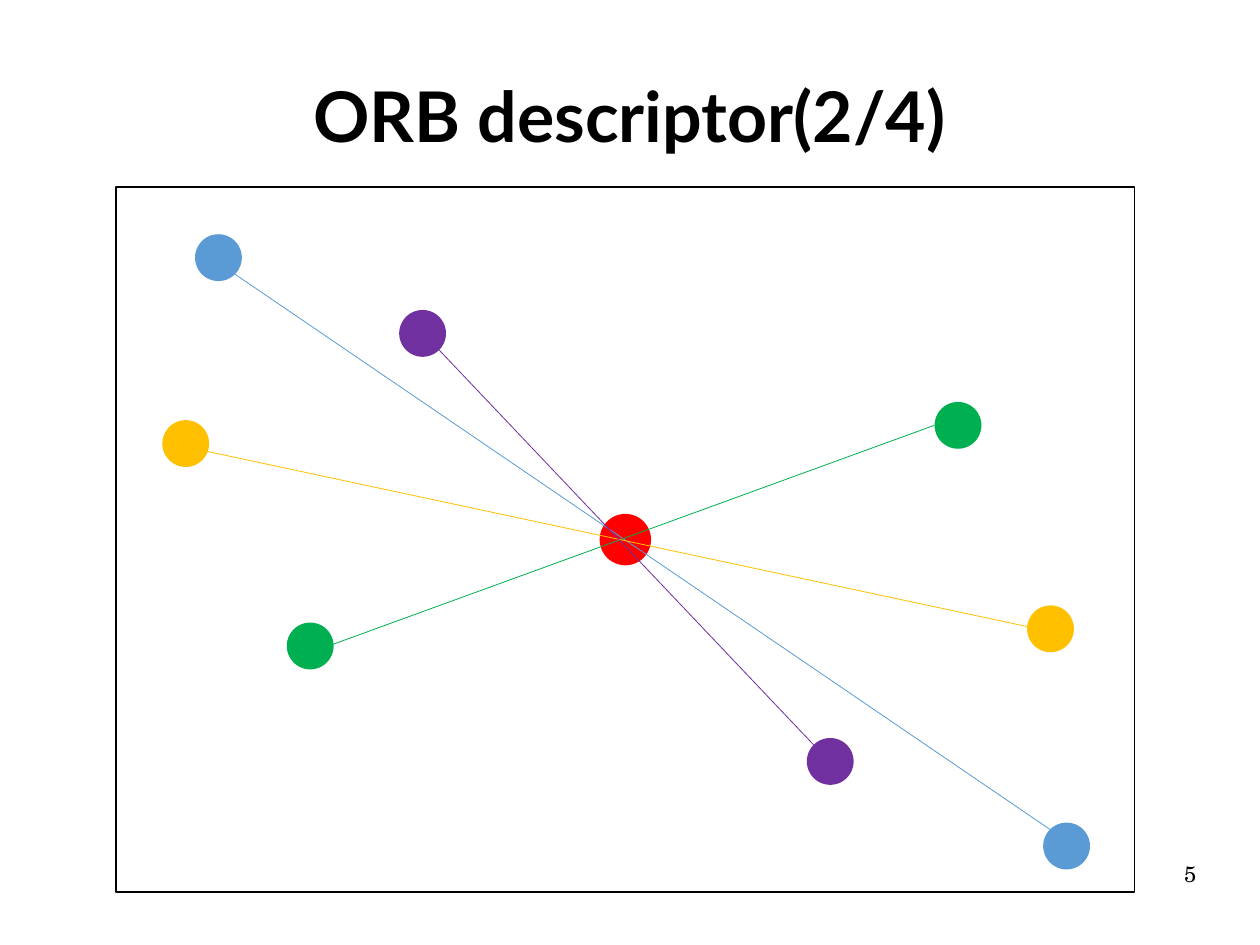
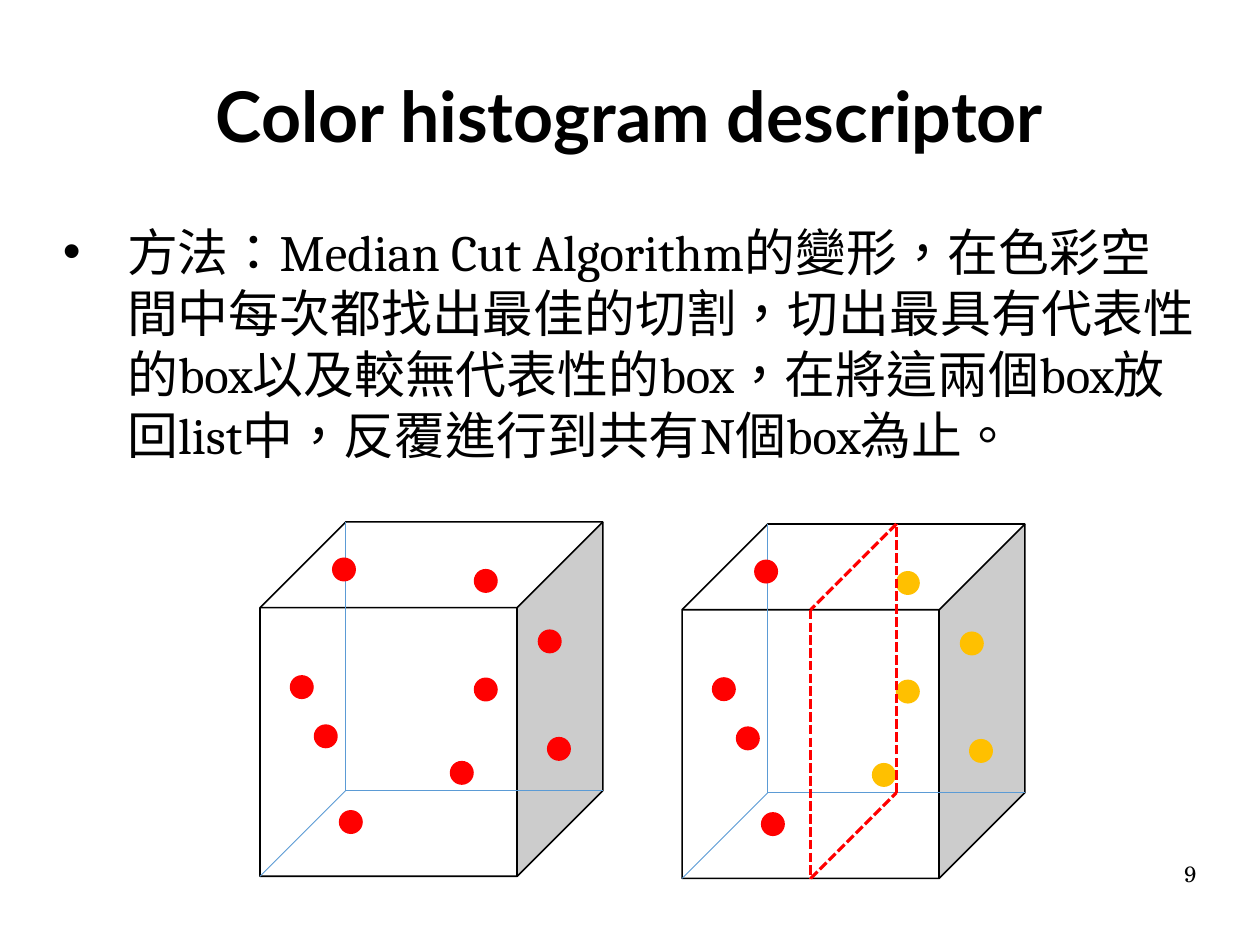
from lxml import etree
from pptx import Presentation
from pptx import util as u
from pptx.dml import color
from pptx.enum import dml, lang, shapes, text
from pptx.oxml import ns

Pt = u.Pt

# Shared look
BLACK, WHITE, RED = "000000", "FFFFFF", "FF0000"
BLUE, GREEN, AMBER, PURPLE = "5B9BD5", "00B050", "FFC000", "7030A0"
TITLE_FONT, BODY_FONT, NUMBER_FONT = "Lato", "Cambria", "TeX Gyre Schola"
SLIDE_SIZE = (793.75, 595.25)
TITLE_BOX = (39.6, 22.3, 714.3, 99.4)
BODY_BOX = (39.6, 139, 714.3, 444.2)
NUMBER_BOX = (568.8, 542.2, 185, 41)
TITLE_AND_BODY, TITLE_ONLY = 1, 5

# Slide 1: pairs of points, each with its centre and the line's offset from it
FRAME_BOX = (73.2, 117.8, 641.5, 444.2)
CENTRE_SIZE, POINT_SIZE = 32.4, 29.5
POINT_PAIRS = [
    (BLUE, (64.4, 44.5), (10.4, 10.4), (598.7, 415.1), (-10.4, -10.4)),
    (GREEN, (122.2, 289.1), (10.4, 0.4), (530.3, 150.1), (-14.8, 0)),
    (AMBER, (43.8, 161.6), (9, 4), (588.6, 278.3), (-6.1, 0.4)),
    (PURPLE, (193, 92.2), (10.4, 10.4), (449.8, 361.8), (-10.4, -10.4)),
]

# Slide 2: colour samples, as centres inside a cube
CUBE_SIZE = (216, 223.2)
SAMPLE_SIZE = 15.1
SAMPLES = [(142.2, 37.1), (26.3, 104), (57.2, 189), (41.4, 135), (142.2, 105.5),
           (52.9, 29.9), (188.3, 142.9), (127.1, 158), (182.5, 75.2)]
METHOD = ("方法：Median Cut Algorithm的變形，在色彩空間中每次都找出最佳的切割，"
          "切出最具有代表性的box以及較無代表性的box，在將這兩個box放回list中，"
          "反覆進行到共有N個box為止。")


def rgb(code):
    return color.RGBColor.from_string(code)


def place(part, box):
    part.left, part.top, part.width, part.height = (Pt(v) for v in box)


def write(part, words, *, font, size, bold=False, align=text.PP_ALIGN.LEFT,
          anchor=text.MSO_ANCHOR.TOP, bullet=None, indent=0, after=0, language=None):
    """Fill a placeholder or text box with one formatted paragraph."""
    frame = part.text_frame
    frame.word_wrap = True
    frame.auto_size = text.MSO_AUTO_SIZE.NONE
    frame.vertical_anchor = anchor
    frame.margin_left = frame.margin_top = frame.margin_right = frame.margin_bottom = 0
    paragraph = frame.paragraphs[0]
    paragraph.alignment = align
    paragraph.space_before, paragraph.space_after = Pt(0), Pt(after)
    if bullet:
        props = paragraph._p.get_or_add_pPr()
        props.set("marL", str(Pt(indent)))
        props.set("indent", str(-Pt(indent)))
        etree.SubElement(props, ns.qn("a:buFont")).set("typeface", "Arial")
        etree.SubElement(props, ns.qn("a:buChar")).set("char", bullet)
    run = paragraph.add_run()
    run.text = words
    run.font.name, run.font.size, run.font.bold = font, Pt(size), bold
    run.font.color.rgb = rgb(BLACK)
    if language:
        run.font.language_id = language


def draw_shape(slide, kind, box, fill=None, outline=None):
    part = slide.shapes.add_shape(kind, *(Pt(v) for v in box))
    part.shadow.inherit = False
    if fill:
        part.fill.solid()
        part.fill.fore_color.rgb = rgb(fill)
    else:
        part.fill.background()
    if outline:
        part.line.color.rgb = rgb(outline)
        part.line.width = Pt(1)
    else:
        part.line.fill.background()
    return part


def draw_dot(slide, centre, size, fill):
    x, y = centre
    draw_shape(slide, shapes.MSO_SHAPE.OVAL, (x - size / 2, y - size / 2, size, size), fill)


def draw_line(slide, start, end, stroke, width=0.5, dash=None):
    line = slide.shapes.add_connector(
        shapes.MSO_CONNECTOR.STRAIGHT, *(Pt(v) for v in (*start, *end)))
    line.line.color.rgb = rgb(stroke)
    line.line.width = Pt(width)
    if dash:
        line.line.dash_style = dash
    etree.SubElement(line._element.spPr, ns.qn("a:effectLst"))


def shift(point, by):
    return point[0] + by[0], point[1] + by[1]


def add_slide(deck, layout, title, number):
    """Start a slide with the shared title and page number."""
    slide = deck.slides.add_slide(deck.slide_layouts[layout])
    place(slide.shapes.title, TITLE_BOX)
    write(slide.shapes.title, title, font=TITLE_FONT, size=44, bold=True,
          align=text.PP_ALIGN.CENTER, anchor=text.MSO_ANCHOR.MIDDLE)
    page_number = slide.shapes.add_textbox(*(Pt(v) for v in NUMBER_BOX))
    write(page_number, number, font=NUMBER_FONT, size=14, align=text.PP_ALIGN.RIGHT)
    return slide


def draw_point_pairs(slide, box):
    """Framed patch with point pairs joined across its centre."""
    left, top, width, height = box
    draw_shape(slide, shapes.MSO_SHAPE.RECTANGLE, box, outline=BLACK)
    draw_dot(slide, (left + width / 2, top + height / 2), CENTRE_SIZE, RED)
    for hue, first, first_offset, second, second_offset in POINT_PAIRS:
        first, second = shift(first, (left, top)), shift(second, (left, top))
        draw_dot(slide, first, POINT_SIZE, hue)
        draw_dot(slide, second, POINT_SIZE, hue)
        draw_line(slide, shift(first, first_offset), shift(second, second_offset), hue)


def draw_colour_cube(slide, box, cut=False):
    """Colour space with its samples, optionally cut in two halves."""
    left, top, width, height = box
    origin = (left, top)
    depth = min(width, height) / 4
    cube = draw_shape(slide, shapes.MSO_SHAPE.CUBE, box, WHITE, BLACK)
    cube.adjustments[0] = 0.25

    # Hidden edges meet at the back corner
    back_corner = shift(origin, (depth, height - depth))
    for end in [(depth, 0), (0, height), (width, height - depth)]:
        draw_line(slide, back_corner, shift(origin, end), BLUE)

    # Samples take the colour of their half
    middle = (width - depth) / 2
    for sample in SAMPLES:
        hue = AMBER if cut and sample[0] > middle else RED
        draw_dot(slide, shift(origin, sample), SAMPLE_SIZE, hue)

    # Cutting plane
    if cut:
        plane = [(middle + depth, 0), (middle, depth),
                 (middle, height), (middle + depth, height - depth)]
        for start, end in zip(plane, plane[1:] + plane[:1]):
            draw_line(slide, shift(origin, start), shift(origin, end), RED, 2,
                      dml.MSO_LINE.SQUARE_DOT)


def build_orb(deck):
    slide = add_slide(deck, TITLE_ONLY, "ORB descriptor(2/4)", "5")
    draw_point_pairs(slide, FRAME_BOX)


def build_histogram(deck):
    slide = add_slide(deck, TITLE_AND_BODY, "Color histogram descriptor", "9")
    method = slide.placeholders[1]
    place(method, BODY_BOX)
    write(method, METHOD, font=BODY_FONT, size=32, bullet="•", indent=40.5, after=14.2,
          language=lang.MSO_LANGUAGE_ID.TRADITIONAL_CHINESE)
    draw_colour_cube(slide, (163.8, 328.8, *CUBE_SIZE))
    draw_colour_cube(slide, (429.7, 330.1, *CUBE_SIZE), cut=True)


def main():
    deck = Presentation()
    deck.slide_width, deck.slide_height = (Pt(v) for v in SLIDE_SIZE)
    build_orb(deck)
    build_histogram(deck)
    deck.save("out.pptx")


if __name__ == "__main__":
    main()
